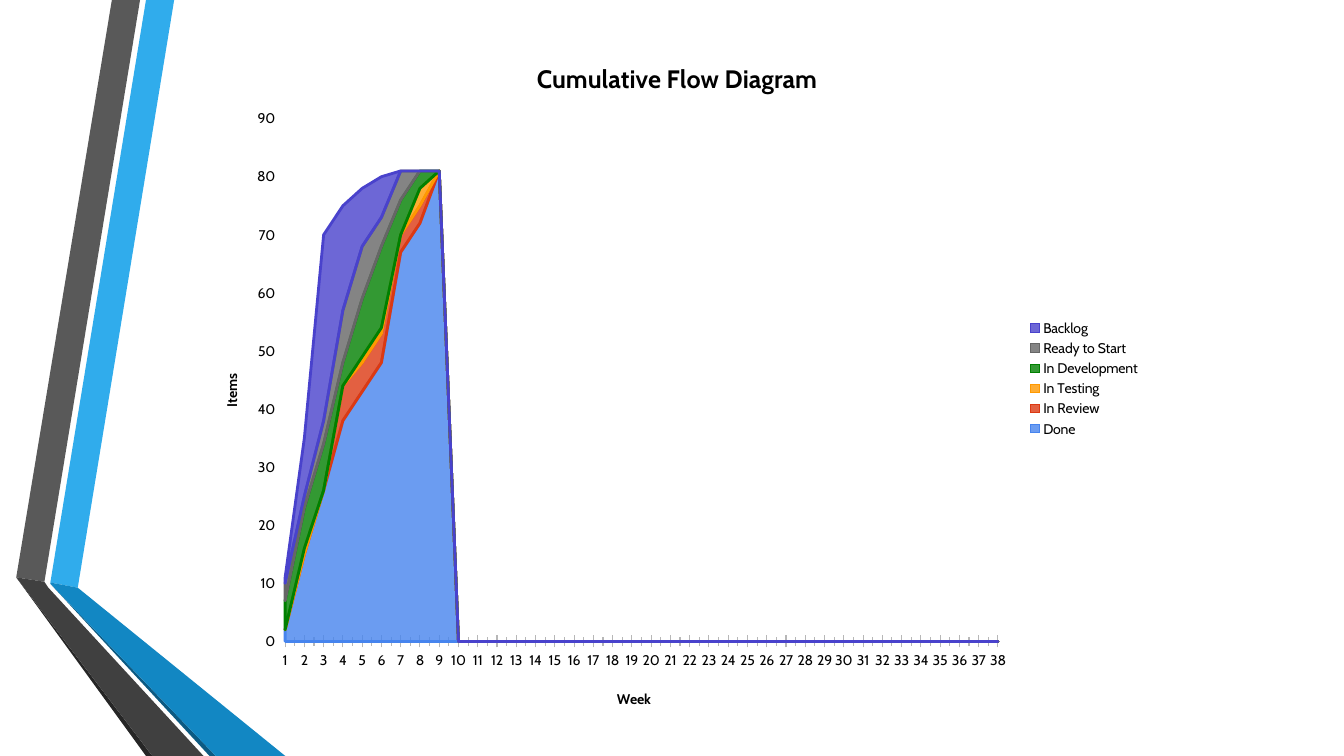
import pptx
import pptx.chart.data
import pptx.dml.color
import pptx.enum.chart
import pptx.oxml
import pptx.oxml.ns
import pptx.util
from dataclasses import dataclass

Cm = pptx.util.Cm
Pt = pptx.util.Pt
qn = pptx.oxml.ns.qn


@dataclass
class Theme:
    font: str = "Cabin"
    text: str = "000000"
    axis: str = "B7B7B7"
    title_size: int = 18
    label_size: int = 10
    series_line: int = 2
    series_alpha: int = 80


# Ribbons on the left: colour and corner points in centimetres
RIBBONS = [
    ("30ACEC", [(1.27, 14.68), (1.96, 14.81), (4.39, 0), (3.68, 0)]),
    ("595959", [(3.53, 0), (2.82, 0), (0.41, 14.55), (1.12, 14.66)]),
    ("262626", [(0.41, 14.55), (3.68, 19.05), (3.84, 19.05)]),
    ("0C5A82", [(1.27, 14.71), (5.28, 19.05), (5.44, 19.05)]),
    ("1287C3", [(1.27, 14.68), (1.27, 14.71), (5.44, 19.05), (7.19, 19.05), (1.96, 14.81)]),
    ("404040", [(0.41, 14.55), (3.84, 19.05), (5.13, 19.05), (1.22, 14.81), (1.12, 14.66)]),
]

# Weekly item counts, from the bottom layer to the top
WEEKS = 38
STAGES = [
    ("Done", "4684EE", [2, 15, 26, 38, 43, 48, 67, 72, 81]),
    ("In Review", "DC3912", [0, 0, 0, 6, 5, 5, 3, 3, 0]),
    ("In Testing", "FF9900", [0, 1, 0, 0, 1, 1, 0, 3, 0]),
    ("In Development", "008000", [5, 7, 8, 4, 10, 14, 6, 3, 0]),
    ("Ready to Start", "666666", [3, 2, 4, 9, 9, 5, 5, 0, 0]),
    ("Backlog", "4942CC", [1, 10, 32, 18, 10, 7, 0, 0, 0]),
]


def rgb(code):
    return pptx.dml.color.RGBColor.from_string(code)


def place(element, index, x, y, w=None, h=None, inner=False):
    """Give a chart part a fixed position, in fractions of the chart."""
    for old in element.findall(qn("c:layout")):
        element.remove(old)
    settings = [("layoutTarget", "inner")] if inner else []
    settings += [("xMode", "edge"), ("yMode", "edge"), ("x", x), ("y", y)]
    if w is not None:
        settings += [("w", w), ("h", h)]
    body = "".join(f'<c:{name} val="{value}"/>' for name, value in settings)
    element.insert(index, pptx.oxml.parse_xml(
        f'<c:layout {pptx.oxml.ns.nsdecls("c")}><c:manualLayout>{body}'
        "</c:manualLayout></c:layout>"))


class Page:
    def __init__(self, deck, theme):
        self.theme = theme
        self.slide = deck.slides.add_slide(deck.slide_layouts[6])

    def style(self, font, size, bold=False):
        font.name = self.theme.font
        font.size = Pt(size)
        font.bold = bold
        font.color.rgb = rgb(self.theme.text)

    def ribbon(self, color, corners):
        points = [(Cm(x), Cm(y)) for x, y in corners]
        builder = self.slide.shapes.build_freeform(*points[0])
        builder.add_line_segments(points[1:], close=True)
        shape = builder.convert_to_shape()
        shape.shadow.inherit = False
        shape.fill.solid()
        shape.fill.fore_color.rgb = rgb(color)
        shape.line.fill.background()

    def heading(self, title, text, size, x, y):
        title.text_frame.text = text
        self.style(title.text_frame.paragraphs[0].font, size, bold=True)
        place(title._element, 1, x, y)

    def flow_chart(self, left, top, width, height):
        theme, kinds = self.theme, pptx.enum.chart
        data = pptx.chart.data.CategoryChartData()
        data.categories = [str(week) for week in range(1, WEEKS + 1)]
        for name, _, counts in STAGES:
            data.add_series(name, counts + [None] * (WEEKS - len(counts)))
        chart = self.slide.shapes.add_chart(
            kinds.XL_CHART_TYPE.AREA_STACKED, Cm(left), Cm(top), Cm(width), Cm(height), data).chart
        self.style(chart.font, theme.label_size)
        chart.plots[0].vary_by_categories = False

        # Layers
        for series, (_, color, _) in zip(chart.plots[0].series, STAGES):
            fill = series.format.fill
            fill.solid()
            fill.fore_color.rgb = rgb(color)
            shade = series._element.find(".//" + qn("a:srgbClr"))
            shade.append(pptx.oxml.parse_xml(
                f'<a:alpha {pptx.oxml.ns.nsdecls("a")} val="{theme.series_alpha * 1000}"/>'))
            series.format.line.color.rgb = rgb(color)
            series.format.line.width = Pt(theme.series_line)

        # Axes
        weeks, items = chart.category_axis, chart.value_axis
        for axis in (weeks, items):
            axis.has_major_gridlines = False
            axis.major_tick_mark = kinds.XL_TICK_MARK.CROSS
            axis.minor_tick_mark = kinds.XL_TICK_MARK.CROSS
            self.style(axis.tick_labels.font, theme.label_size)
        weeks.format.line.color.rgb = rgb(theme.axis)
        items.format.line.fill.background()
        items.minimum_scale, items.maximum_scale, items.major_unit = 0, 90, 10
        items._element.find(qn("c:crossBetween")).set("val", "midCat")

        # Headings, legend and plot position
        chart.has_title = True
        self.heading(chart.chart_title, "Cumulative Flow Diagram", theme.title_size, 0.354, 0.036)
        self.heading(weeks.axis_title, "Week", theme.label_size, 0.44, 0.945)
        self.heading(items.axis_title, "Items", theme.label_size, 0.026, 0.49)
        items.axis_title.text_frame._txBody.bodyPr.set("rot", "-5400000")
        chart.has_legend = True
        chart.legend.position = kinds.XL_LEGEND_POSITION.RIGHT
        chart.legend.include_in_layout = False
        self.style(chart.legend.font, theme.label_size)
        place(chart.legend._element, 1, 0.87, 0.41, 0.125, 0.18)
        root = chart._chartSpace
        place(root.find(".//" + qn("c:plotArea")), 0, 0.095, 0.125, 0.747, 0.755, inner=True)
        blanks = root.find(".//" + qn("c:dispBlanksAs"))
        if blanks is not None:
            blanks.set("val", "zero")


def main():
    deck = pptx.Presentation()
    deck.slide_width, deck.slide_height = Cm(33.87), Cm(19.05)
    page = Page(deck, Theme())
    for color, corners in RIBBONS:
        page.ribbon(color, corners)
    page.flow_chart(4.9, 0.81, 24.05, 17.45)
    deck.save("out.pptx")


if __name__ == "__main__":
    main()
